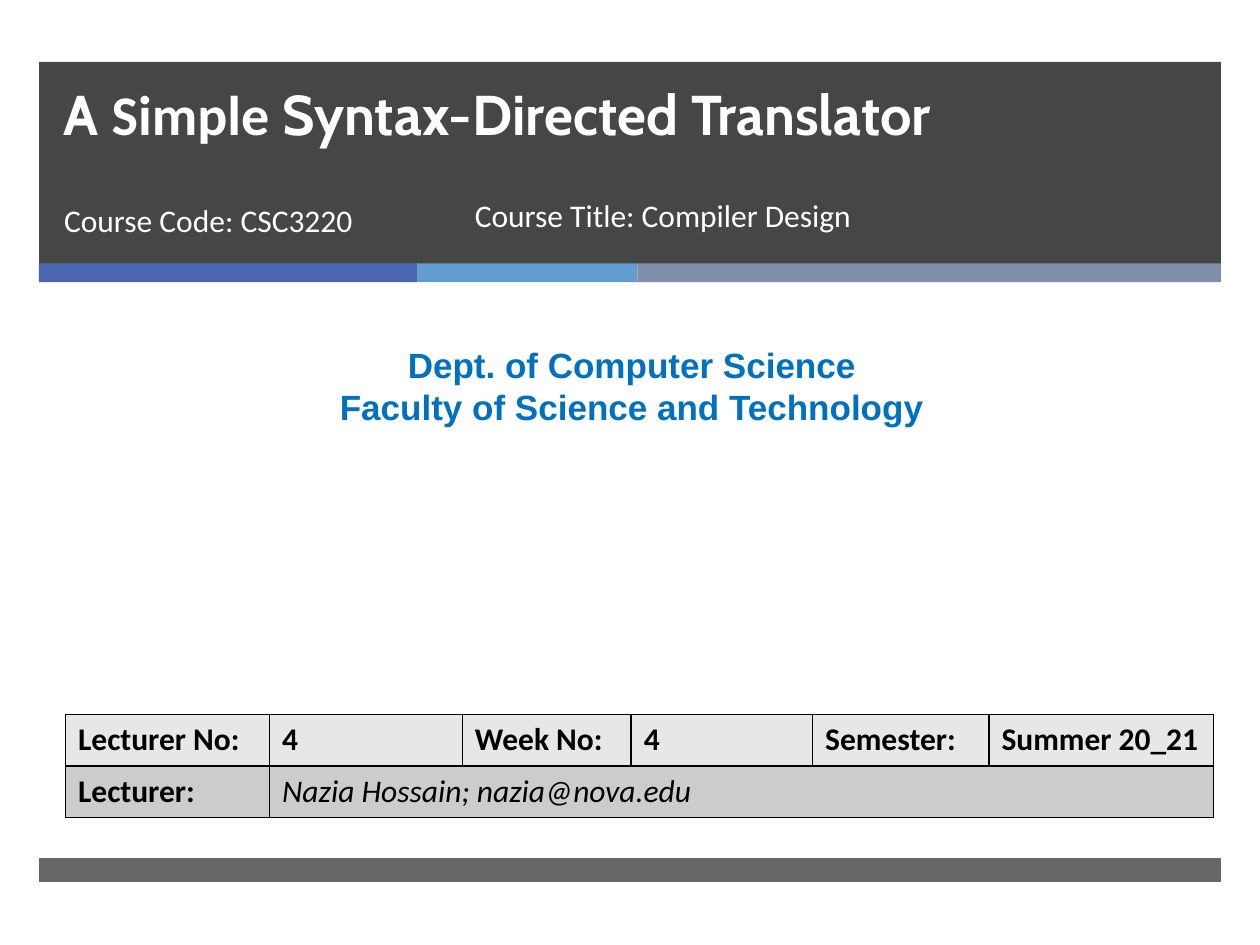
from dataclasses import dataclass
from itertools import accumulate
from lxml.etree import SubElement
from pptx import Presentation
from pptx.dml.color import RGBColor
from pptx.enum.shapes import MSO_SHAPE
from pptx.enum.text import MSO_ANCHOR, PP_ALIGN
from pptx.oxml import parse_xml
from pptx.oxml.ns import nsdecls, qn
from pptx.util import Inches, Pt


@dataclass(frozen=True)
class Theme:
    dark: str = "262626"
    stripes: tuple = ("4A66AC", "629DD1", "7F8FA9")
    department: str = "0070C0"
    light: str = "FFFFFF"
    ink: str = "000000"
    rows: tuple = ("E7E7E7", "CCCCCC")
    title_size: int = 32
    department_size: int = 20
    body_size: int = 18
    body_font: str = "Calibri"
    title_font: str = "Cabin"
    department_font: str = "Arial"


theme = Theme()
title_parts = [
    ("A ", theme.title_font),
    ("Simple", theme.body_font),
    (" Syntax-Directed Translator", theme.title_font),
]
course_lines = [
    ("Course Code: CSC3220", (0.41, 1.55, 3.05, 0.53)),
    ("Course Title: Compiler Design", (3.67, 1.51, 4.55, 0.53)),
]
department_lines = ["Dept. of Computer Science", "Faculty of Science and Technology"]
lecture_rows = [
    ["Lecturer No:", "4", "Week No:", "4", "Semester:", "Summer 20_21"],
    ["Lecturer:", "Nazia Hossain; nazia@nova.edu"],
]
column_widths = [1.62, 1.53, 1.34, 1.44, 1.4, 1.78]
row_height = 0.41
stripe_widths = [3, 1.75, 4.63]
band_left, band_width = 0.31, 9.38

deck = Presentation()
deck.slide_width, deck.slide_height = Inches(10), Inches(7.5)
page = deck.slides.add_slide(deck.slide_layouts[6])


def inches(place):
    return [Inches(value) for value in place]


def add_band(place, color, opacity=100):
    band = page.shapes.add_shape(MSO_SHAPE.RECTANGLE, *inches(place))
    band.shadow.inherit = False
    band.line.fill.background()
    band.fill.solid()
    band.fill.fore_color.rgb = RGBColor.from_string(color)
    if opacity < 100:
        tint = band.fill._xPr.find(qn("a:solidFill"))[0]
        SubElement(tint, qn("a:alpha")).set("val", str(opacity * 1000))


def style(span, size, color, font=theme.body_font, bold=False, italic=False):
    span.font.size = Pt(size)
    span.font.name = font
    span.font.bold = bold
    span.font.italic = italic
    span.font.color.rgb = RGBColor.from_string(color)


def add_box(place):
    box = page.shapes.add_textbox(*inches(place))
    box.text_frame.word_wrap = True
    return box.text_frame


def add_borders(cell):
    properties = cell._tc.get_or_add_tcPr()
    for index, side in enumerate(("lnL", "lnR", "lnT", "lnB")):
        properties.insert(index, parse_xml(
            f'<a:{side} {nsdecls("a")} w="{Pt(1)}"><a:solidFill>'
            f'<a:srgbClr val="{theme.ink}"/></a:solidFill></a:{side}>'))


add_band((band_left, 0.49, band_width, 1.61), theme.dark, 85)
stripe_lefts = accumulate(stripe_widths[:-1], initial=band_left)
for left, width, color in zip(stripe_lefts, stripe_widths, theme.stripes):
    add_band((left, 2.09, width, 0.15), color)
add_band((band_left, 6.81, band_width, 0.19), theme.dark, 70)

department = add_box((0.08, 2.68, 9.87, 0.77))
department.text = "\n".join(department_lines)
for para in department.paragraphs:
    para.alignment = PP_ALIGN.CENTER
    style(para.runs[0], theme.department_size, theme.department,
          theme.department_font, bold=True)

table = page.shapes.add_table(
    len(lecture_rows), len(column_widths),
    *inches((0.52, 5.67, sum(column_widths), row_height * len(lecture_rows)))).table
for column, width in zip(table.columns, column_widths):
    column.width = Inches(width)
table.cell(1, 1).merge(table.cell(1, len(column_widths) - 1))
for row_index, texts in enumerate(lecture_rows):
    table.rows[row_index].height = Inches(row_height)
    for cell in table.rows[row_index].cells:
        cell.fill.solid()
        cell.fill.fore_color.rgb = RGBColor.from_string(theme.rows[row_index])
        add_borders(cell)
    for column_index, text in enumerate(texts):
        cell = table.cell(row_index, column_index)
        cell.text_frame.text = text
        is_lecturer = cell.is_merge_origin
        style(cell.text_frame.paragraphs[0].runs[0], theme.body_size, theme.ink,
              bold=not is_lecturer, italic=is_lecturer)

for text, place in course_lines:
    course = add_box(place)
    course.text = text
    style(course.paragraphs[0].runs[0], theme.body_size, theme.light)

title = add_box((0.41, 0.02, 8.54, 1.19))
title.vertical_anchor = MSO_ANCHOR.BOTTOM
heading = title.paragraphs[0]
heading.line_spacing = Pt(46)
for text, font in title_parts:
    span = heading.add_run()
    span.text = text
    style(span, theme.title_size, theme.light, font, bold=True)

deck.save("out.pptx")
